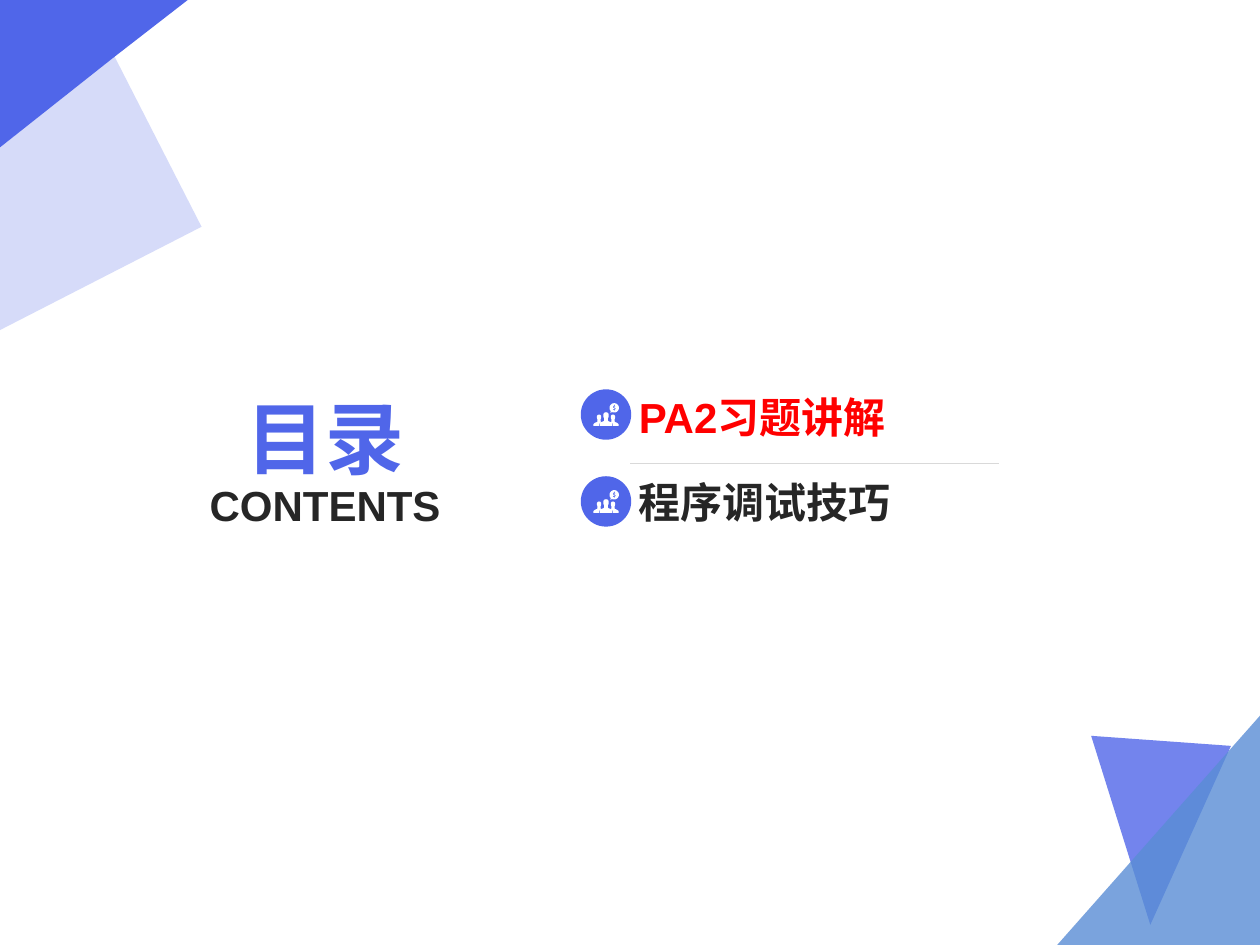
"""Build the contents slide with its corner ornaments and two topics."""
from dataclasses import dataclass
from math import cos, pi, sin

from lxml import etree
from pptx import Presentation
from pptx.dml.color import RGBColor
from pptx.enum.shapes import MSO_CONNECTOR, MSO_SHAPE
from pptx.enum.text import MSO_ANCHOR, MSO_AUTO_SIZE, PP_ALIGN
from pptx.oxml.ns import qn
from pptx.util import Emu, Inches, Pt

LINE = MSO_CONNECTOR.STRAIGHT
ELLIPSE = MSO_SHAPE.OVAL
TOP, MIDDLE, BOTTOM = MSO_ANCHOR.TOP, MSO_ANCHOR.MIDDLE, MSO_ANCHOR.BOTTOM
NO_AUTOFIT = MSO_AUTO_SIZE.NONE
LEFT, CENTER = PP_ALIGN.LEFT, PP_ALIGN.CENTER
TITLE_ONLY = 5
COLUMNS = 1000
SLIDE_WIDTH, SLIDE_HEIGHT = Inches(10), Inches(7.5)
CELL = SLIDE_WIDTH / COLUMNS
ICON_CELL = CELL / 10

Point = tuple[float, float]
Contour = list[Point]


@dataclass(frozen=True)
class Theme:
    font: str = "Arial"
    accent: str = "5066E9"
    sky: str = "598DD5"
    lavender: str = "96A3F2"
    ink: str = "262626"
    highlight: str = "FF0000"
    rule: str = "D9D9D9"
    white: str = "FFFFFF"
    title_size: float = 45
    body_size: float = 24


@dataclass(frozen=True)
class Box:
    left: float
    top: float
    width: float
    height: float


@dataclass(frozen=True)
class Ornament:
    points: Contour
    color: str
    opacity: int = 100


@dataclass(frozen=True)
class Topic:
    text: str
    color: str
    box: Box
    badge_top: float


THEME = Theme()
ORNAMENTS = [
    Ornament([(977, 592), (913, 734), (866, 584)], THEME.accent, 80),
    Ornament([(1000, 750), (839, 750), (1000, 568)], THEME.sky, 80),
    Ornament([(0, 262), (160, 180), (91, 45), (0, 117)], THEME.lavender, 39),
    Ornament([(0, 0), (0, 117), (91, 45), (149, 0)], THEME.accent),
]
TOPICS = [
    Topic("PA2习题讲解", THEME.highlight, Box(500, 302, 331, 53), 309),
    Topic("程序调试技巧", THEME.ink, Box(500, 371, 293, 51), 378),
]
BADGE_LEFT, BADGE_SIZE = 461, 40
ICON_OFFSET_X, ICON_OFFSET_Y = 10, 11
ICON_WIDTH = 200

SIDE_PERSON: Contour = [
    (45, 90), (56, 93), (62, 102), (62, 118), (57, 128), (57, 146), (61, 150),
    (50, 156), (44, 167), (44, 180), (0, 180), (0, 166), (10, 157), (29, 149),
    (32, 146), (32, 128), (28, 118), (28, 102), (34, 93)]
HALF_PERSON: Contour = [
    (100, 72), (114, 76), (121, 87), (121, 108), (115, 120), (115, 138),
    (119, 143), (142, 152), (150, 164), (150, 180)]
DOLLAR: Contour = [
    (162, 12), (168, 12), (168, 18), (176, 23), (171, 28), (163, 26),
    (162, 30), (174, 38), (177, 46), (168, 55), (168, 60), (162, 60),
    (162, 55), (153, 49), (158, 44), (166, 48), (169, 44), (157, 36),
    (154, 28), (162, 18)]
COIN: Contour = [
    (165 + 37 * cos(step * pi / 12), 37 + 37 * sin(step * pi / 12))
    for step in range(24)]
SPEECH_TAIL: Contour = [(139, 63), (151, 71), (133, 75)]


def mirror(contour: Contour) -> Contour:
    return [(ICON_WIDTH - x, y) for x, y in reversed(contour)]


PEOPLE_ICON = [SIDE_PERSON, mirror(SIDE_PERSON),
               HALF_PERSON + mirror(HALF_PERSON), COIN, SPEECH_TAIL, DOLLAR]


def grid(cells: float) -> Emu:
    return Emu(round(cells * CELL))


def place(box: Box) -> tuple[Emu, Emu, Emu, Emu]:
    return grid(box.left), grid(box.top), grid(box.width), grid(box.height)


def paint(shape, color: str, opacity: int = 100) -> None:
    shape.shadow.inherit = False
    shape.line.fill.background()
    shape.fill.solid()
    shape.fill.fore_color.rgb = RGBColor.from_string(color)
    if opacity < 100:
        fill_color = shape.fill._xPr.find(qn("a:solidFill"))[0]
        etree.SubElement(fill_color, qn("a:alpha"), val=str(opacity * 1000))


def draw_outline(slide, contours: list[Contour], color: str, *,
                 origin: Point = (0, 0), scale: float = CELL,
                 opacity: int = 100) -> None:
    builder = slide.shapes.build_freeform(*contours[0][0], scale=scale)
    for index, contour in enumerate(contours):
        if index:
            builder.move_to(*contour[0])
        builder.add_line_segments(contour[1:], close=True)
    shape = builder.convert_to_shape(grid(origin[0]), grid(origin[1]))
    paint(shape, color, opacity)


def write(shape, text: str, *, color: str, size: float = THEME.body_size,
          align=LEFT, anchor=MIDDLE, top: float = 0.04, bottom: float = 0,
          spacing: float = 1) -> None:
    frame = shape.text_frame
    frame.word_wrap = True
    frame.auto_size = NO_AUTOFIT
    frame.vertical_anchor = anchor
    frame.margin_left = frame.margin_right = Inches(0.07)
    frame.margin_top, frame.margin_bottom = Inches(top), Inches(bottom)
    paragraph = frame.paragraphs[0]
    paragraph.alignment = align
    paragraph.line_spacing = spacing
    run = paragraph.add_run()
    run.text = text
    run.font.name = THEME.font
    run.font.size = Pt(size)
    run.font.bold = True
    run.font.color.rgb = RGBColor.from_string(color)


def draw_heading(slide) -> None:
    title = slide.shapes.title
    title.left, title.top, title.width, title.height = place(
        Box(157, 290, 202, 94))
    write(title, "目录", color=THEME.accent, size=THEME.title_size,
          align=CENTER, anchor=BOTTOM)
    subtitle = slide.shapes.add_textbox(*place(Box(157, 388, 202, 41)))
    write(subtitle, "CONTENTS", color=THEME.ink, align=CENTER, anchor=TOP,
          top=0, bottom=0.04, spacing=0.8)


def draw_topic(slide, topic: Topic) -> None:
    badge = Box(BADGE_LEFT, topic.badge_top, BADGE_SIZE, BADGE_SIZE)
    paint(slide.shapes.add_shape(ELLIPSE, *place(badge)), THEME.accent)
    draw_outline(slide, PEOPLE_ICON, THEME.white, scale=ICON_CELL,
                 origin=(badge.left + ICON_OFFSET_X, badge.top + ICON_OFFSET_Y))
    label = slide.shapes.add_textbox(*place(topic.box))
    write(label, topic.text, color=topic.color)


def draw_rule(slide, left: float, right: float, top: float) -> None:
    rule = slide.shapes.add_connector(
        LINE, grid(left), grid(top), grid(right), grid(top))
    rule.line.color.rgb = RGBColor.from_string(THEME.rule)
    rule.line.width = Pt(0.25)
    etree.SubElement(rule._element.spPr, qn("a:effectLst"))


def main() -> None:
    presentation = Presentation()
    presentation.slide_width = SLIDE_WIDTH
    presentation.slide_height = SLIDE_HEIGHT
    slide = presentation.slides.add_slide(
        presentation.slide_layouts[TITLE_ONLY])
    for ornament in ORNAMENTS:
        draw_outline(slide, [ornament.points], ornament.color,
                     opacity=ornament.opacity)
    draw_heading(slide)
    for topic in TOPICS:
        draw_topic(slide, topic)
    draw_rule(slide, 500, 793, 368)
    presentation.save("out.pptx")


if __name__ == "__main__":
    main()
